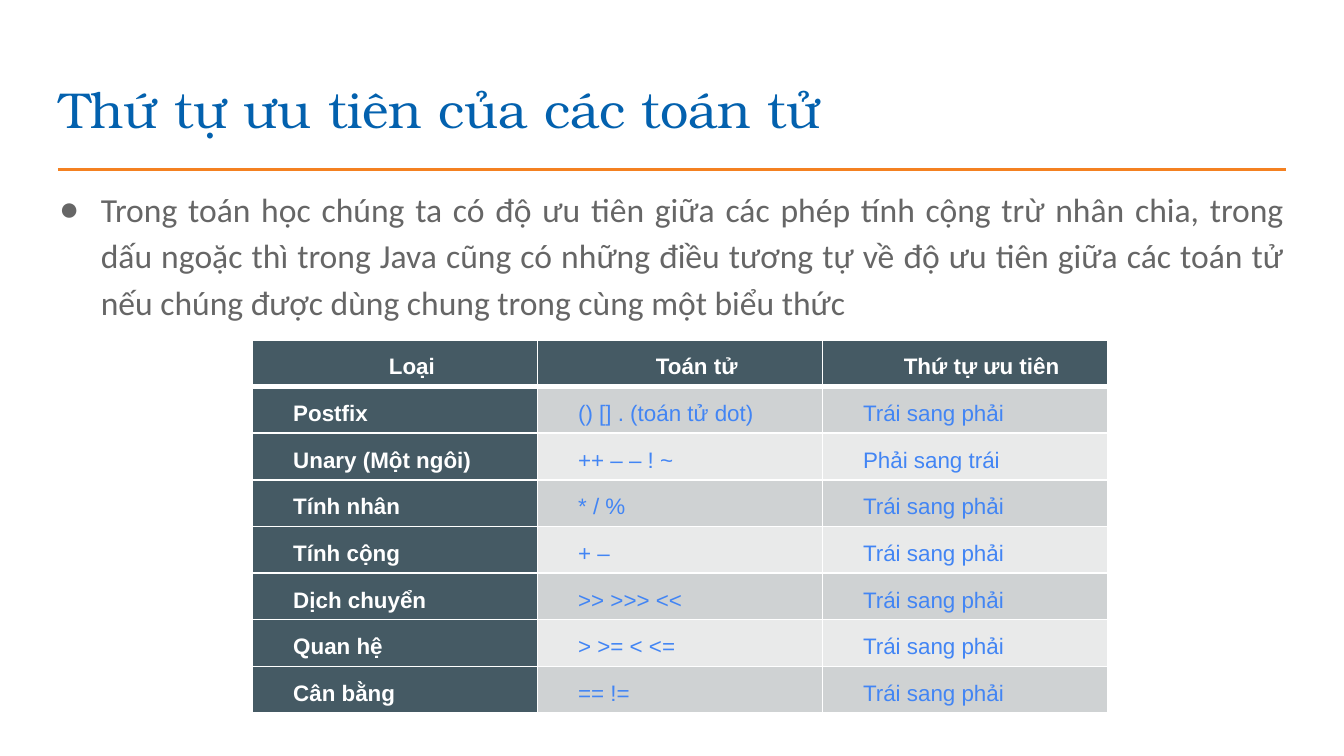
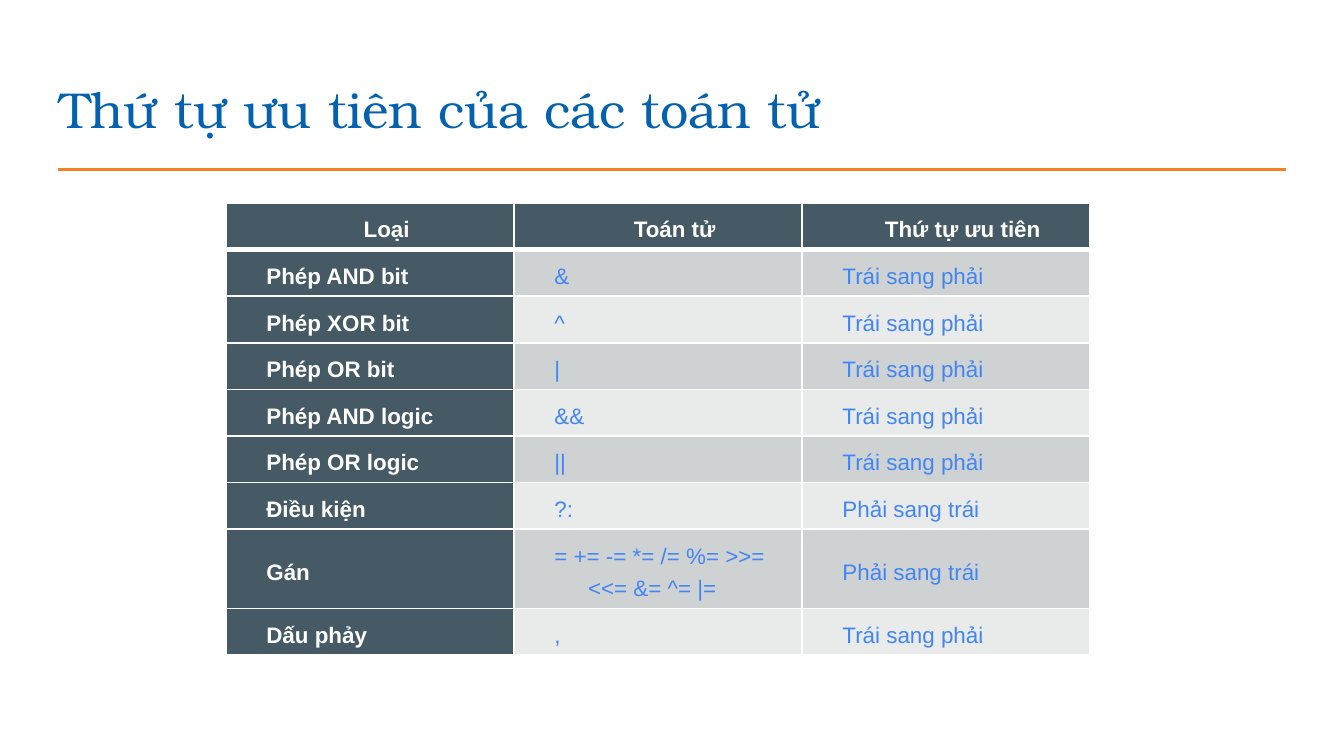
"""Build two slides on the precedence of Java operators."""
from dataclasses import dataclass

from lxml import etree
from pptx import Presentation
from pptx.dml.color import RGBColor
from pptx.enum import shapes, text
from pptx.oxml import ns
from pptx.util import Inches, Pt

TITLE = "Thứ tự ưu tiên của các toán tử"
HEADER = ("Loại", "Toán tử", "Thứ tự ưu tiên")
LEFT_TO_RIGHT = "Trái sang phải"
RIGHT_TO_LEFT = "Phải sang trái"

SLIDES = [
    {
        "body": "Trong toán học chúng ta có độ ưu tiên giữa các phép tính cộng trừ nhân chia, "
                "trong dấu ngoặc thì trong Java cũng có những điều tương tự về độ ưu tiên giữa "
                "các toán tử nếu chúng được dùng chung trong cùng một biểu thức",
        "table_box": (1.88, 2.53, 6.36, 2.73),
        "rows": [
            ("Postfix", "() [] . (toán tử dot)", LEFT_TO_RIGHT),
            ("Unary (Một ngôi)", "++ – – ! ~", RIGHT_TO_LEFT),
            ("Tính nhân", "* / %", LEFT_TO_RIGHT),
            ("Tính cộng", "+ –", LEFT_TO_RIGHT),
            ("Dịch chuyển", ">> >>> <<", LEFT_TO_RIGHT),
            ("Quan hệ", "> >= < <=", LEFT_TO_RIGHT),
            ("Cân bằng", "== !=", LEFT_TO_RIGHT),
        ],
        "tall_rows": (),
    },
    {
        "body": None,
        "table_box": (1.68, 1.51, 6.43, 3.34),
        "rows": [
            ("Phép AND bit", "&", LEFT_TO_RIGHT),
            ("Phép XOR bit", "^", LEFT_TO_RIGHT),
            ("Phép OR bit", "|", LEFT_TO_RIGHT),
            ("Phép AND logic", "&&", LEFT_TO_RIGHT),
            ("Phép OR logic", "||", LEFT_TO_RIGHT),
            ("Điều kiện", "?:", RIGHT_TO_LEFT),
            ("Gán", "= += -= *= /= %= >>= <<= &= ^= |=", RIGHT_TO_LEFT),
            ("Dấu phảy", ",", LEFT_TO_RIGHT),
        ],
        "tall_rows": (7,),
    },
]


@dataclass(frozen=True)
class Theme:
    title: str = "0361AE"
    rule: str = "F48121"
    body: str = "666666"
    heading_fill: str = "455A64"
    bands: tuple = ("E9EAEA", "CFD2D3")
    cell: str = "4285F4"
    white: str = "FFFFFF"
    title_font: str = "TeX Gyre Bonum"
    body_font: str = "Calibri"
    table_font: str = "Arial"
    title_size: int = 27
    body_size: int = 18
    table_size: int = 12


THEME = Theme()
TITLE_BOX = (0.34, 0.49, 9.32, 0.63)
BODY_BOX = (0.34, 1.26, 9.32, 3.74)
RULE = (0.43, 1.26, 9.57, 1.26)
ROW_HEIGHT, TALL_ROW_HEIGHT = 0.22, 0.47
CELL_MARGIN = Pt(3.75)


def inches(values):
    return [Inches(value) for value in values]


def format_runs(paragraph, font, size, color, bold=False):
    for run in paragraph.runs:
        run.font.name, run.font.size, run.font.bold = font, Pt(size), bold
        run.font.color.rgb = RGBColor.from_string(color)


def set_indent(paragraph, left, first):
    properties = paragraph._p.get_or_add_pPr()
    properties.set("marL", str(Inches(left)))
    properties.set("indent", str(Inches(first)))
    return properties


def fill_placeholder(shape, box, words, anchor):
    shape.left, shape.top, shape.width, shape.height = inches(box)
    frame = shape.text_frame
    frame.text = words
    frame.word_wrap = True
    frame.auto_size = text.MSO_AUTO_SIZE.NONE
    frame.vertical_anchor = anchor
    frame.margin_left = frame.margin_right = Inches(0.1)
    frame.margin_top = frame.margin_bottom = Inches(0.1)
    paragraph = frame.paragraphs[0]
    paragraph.space_before = Pt(0)
    return paragraph


def add_title(slide):
    paragraph = fill_placeholder(slide.shapes.title, TITLE_BOX, TITLE, text.MSO_ANCHOR.MIDDLE)
    paragraph.alignment = text.PP_ALIGN.LEFT
    format_runs(paragraph, THEME.title_font, THEME.title_size, THEME.title)
    rule = slide.shapes.add_connector(shapes.MSO_CONNECTOR.STRAIGHT, *inches(RULE))
    rule.line.color.rgb = RGBColor.from_string(THEME.rule)
    rule.line.width = Pt(1.5)
    etree.SubElement(rule._element.spPr, ns.qn("a:effectLst"))


def add_body(slide, words):
    paragraph = fill_placeholder(slide.placeholders[1], BODY_BOX, words, text.MSO_ANCHOR.TOP)
    paragraph.alignment = text.PP_ALIGN.JUSTIFY
    paragraph.line_spacing = 1.15
    format_runs(paragraph, THEME.body_font, THEME.body_size, THEME.body)
    properties = set_indent(paragraph, 0.31, -0.31)
    bullet_color = etree.SubElement(properties, ns.qn("a:buClr"))
    etree.SubElement(bullet_color, ns.qn("a:srgbClr"), val=THEME.body)
    etree.SubElement(properties, ns.qn("a:buChar"), char="●")


def set_borders(cell, widths):
    properties = cell._tc.get_or_add_tcPr()
    for side, width in widths.items():
        line = etree.SubElement(properties, ns.qn(f"a:ln{side}"), w=str(Pt(width)))
        fill = etree.SubElement(line, ns.qn("a:solidFill"))
        etree.SubElement(fill, ns.qn("a:srgbClr"), val=THEME.white)


def format_cell(cell, words, row, column):
    is_heading = row == 0 or column == 0
    set_borders(cell, {"L": 1, "R": 1, "T": 3 if row == 1 else 1, "B": 3 if row == 0 else 1})
    cell.fill.solid()
    background = THEME.heading_fill if is_heading else THEME.bands[row % 2]
    cell.fill.fore_color.rgb = RGBColor.from_string(background)
    cell.vertical_anchor = text.MSO_ANCHOR.MIDDLE
    cell.margin_left = cell.margin_right = CELL_MARGIN
    cell.margin_top = cell.margin_bottom = CELL_MARGIN
    cell.text_frame.text = words
    paragraph = cell.text_frame.paragraphs[0]
    paragraph.alignment = text.PP_ALIGN.CENTER if row == 0 else text.PP_ALIGN.LEFT
    paragraph.line_spacing = 1.3
    paragraph.space_after = Pt(8)
    set_indent(paragraph, 0.5, -0.25)
    color = THEME.white if is_heading else THEME.cell
    format_runs(paragraph, THEME.table_font, THEME.table_size, color, is_heading)


def add_operator_table(slide, box, rows, tall_rows):
    content = [HEADER, *rows]
    shape = slide.shapes.add_table(len(content), len(HEADER), *inches(box))
    table = shape.table
    table.horz_banding = False
    for row, values in enumerate(content):
        table.rows[row].height = Inches(TALL_ROW_HEIGHT if row in tall_rows else ROW_HEIGHT)
        for column, words in enumerate(values):
            format_cell(table.cell(row, column), words, row, column)
    shape.height = Inches(box[3])


def main():
    presentation = Presentation()
    presentation.slide_width = Inches(10)
    presentation.slide_height = presentation.slide_width * 9 // 16
    for content in SLIDES:
        layout = presentation.slide_layouts[1 if content["body"] else 5]
        slide = presentation.slides.add_slide(layout)
        add_title(slide)
        if content["body"]:
            add_body(slide, content["body"])
        add_operator_table(slide, content["table_box"], content["rows"], content["tall_rows"])
    presentation.save("out.pptx")


if __name__ == "__main__":
    main()
